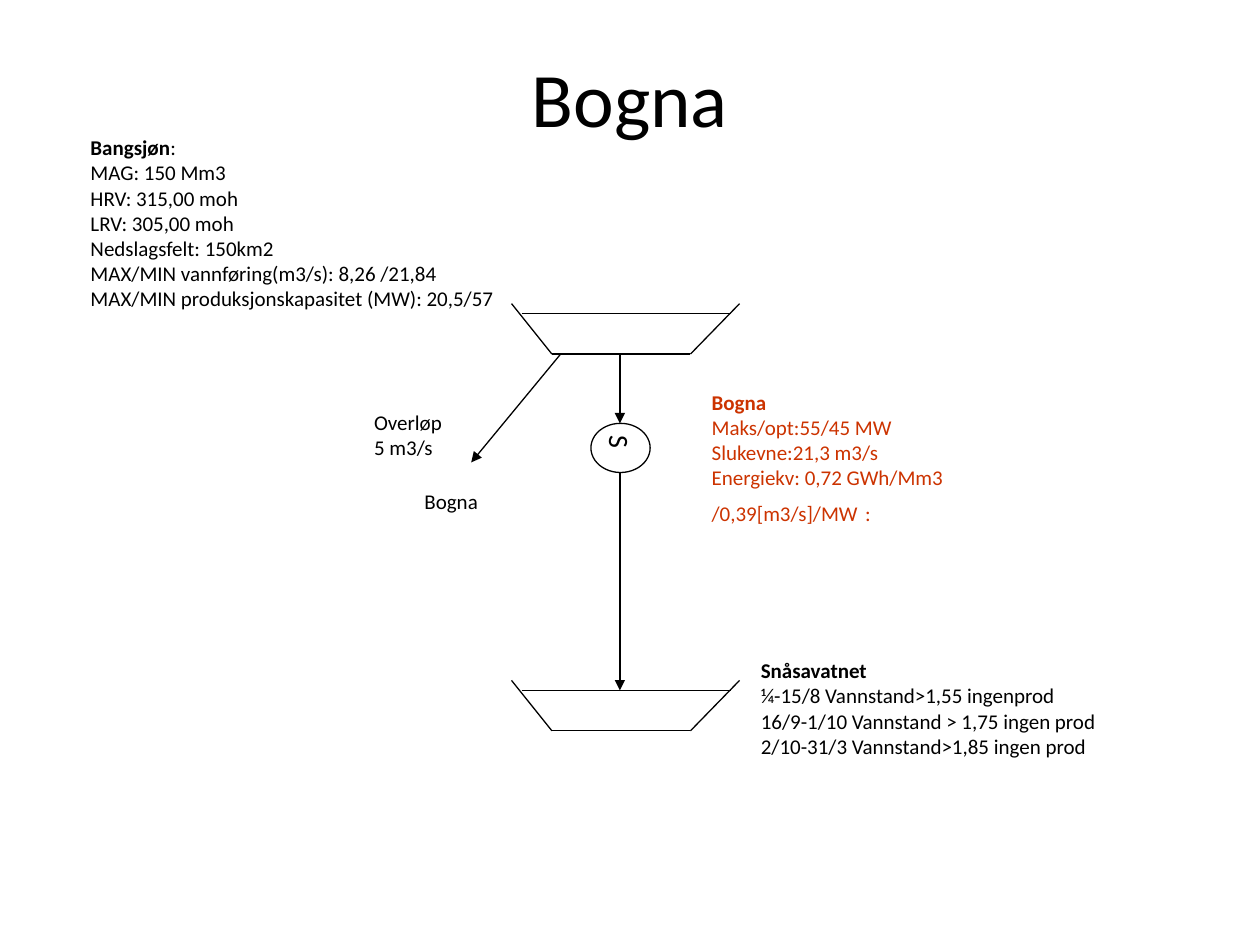
from lxml.etree import SubElement
from pptx import Presentation
from pptx.dml.color import RGBColor
from pptx.enum.shapes import MSO_CONNECTOR as Connector, MSO_SHAPE as Shape
from pptx.enum.text import MSO_ANCHOR as Anchor, PP_ALIGN as Align
from pptx.oxml.ns import qn
from pptx.util import Inches, Pt

COLORS = {"ink": "000000", "station": "CC3300"}
FONT = "Calibri"


def color(name):
    """Return the named colour."""
    return RGBColor.from_string(COLORS[name])


def add_line(page, start, end, arrow=False):
    """Draw a thin line, with an arrowhead at its end if asked."""
    ends = [Inches(value) for value in (*start, *end)]
    line = page.shapes.add_connector(Connector.STRAIGHT, *ends)
    line.line.color.rgb = color("ink")
    line.line.width = Pt(0.75)
    if arrow:
        SubElement(line.line._get_or_add_ln(), qn("a:tailEnd"), type="triangle")
    SubElement(line._element.spPr, qn("a:effectLst"))


def add_text(page, frame, lines, size=12, ink="ink", wrap=False):
    """Write lines, each a list of (text, optional run settings)."""
    box = page.shapes.add_textbox(*[Inches(value) for value in frame])
    box.text_frame.word_wrap = wrap
    for index, runs in enumerate(lines):
        paras = box.text_frame
        para = paras.add_paragraph() if index else paras.paragraphs[0]
        for text, *settings in runs:
            style = {"size": size, "ink": ink, "bold": False}
            style.update(*settings)
            span = para.add_run()
            span.text = text
            span.font.name = FONT
            span.font.size = Pt(style["size"])
            span.font.bold = style["bold"]
            span.font.color.rgb = color(style["ink"])
    return box


def add_title(page, frame, text):
    """Write the centred slide title."""
    box = add_text(page, frame, [[(text,)]], size=44, wrap=True)
    box.text_frame.vertical_anchor = Anchor.MIDDLE
    box.text_frame.paragraphs[0].alignment = Align.CENTER


def add_reservoir(page, left, top):
    """Draw an open basin and its water level."""
    rim = [(0, 0), (0.32, 0.4), (1.42, 0.4), (1.81, 0)]
    level = [(0.08, 0.08), (1.74, 0.08)]
    for outline in (rim, level):
        points = [(left + x, top + y) for x, y in outline]
        for start, end in zip(points, points[1:]):
            add_line(page, start, end)


def add_station(page, left, top, width, height):
    """Draw the power station circle with its sideways letter."""
    circle = page.shapes.add_shape(
        Shape.OVAL, Inches(left), Inches(top), Inches(width), Inches(height))
    circle.shadow.inherit = False
    circle.fill.background()
    circle.line.color.rgb = color("ink")
    circle.line.width = Pt(0.75)
    letter = add_text(page, (left + 0.09, top - 0.05, 0.28, 0.37),
                      [[("S",)]], size=16, wrap=True)
    letter.rotation = 90


def add_watercourse(page, left, top):
    """Draw both reservoirs, the station and the flows between them."""
    middle = left + 0.86
    add_reservoir(page, left, top)
    add_reservoir(page, left, top + 2.99)
    add_station(page, middle - 0.23, top + 0.95, 0.47, 0.39)
    flows = [
        ((middle, top + 0.4), (middle, top + 0.95)),
        ((middle, top + 1.34), (middle, top + 3.07)),
        ((left + 0.39, top + 0.4), (left - 0.32, top + 1.26)),
    ]
    for start, end in flows:
        add_line(page, start, end, arrow=True)


def build_slide(page):
    """Place the title, the diagram and its notes."""
    bold = {"bold": True}
    add_title(page, (0.5, 0.3, 9, 0.93), "Bogna")
    add_watercourse(page, 4.06, 2.41)
    add_text(page, (0.62, 1.02, 3.44, 1.51), [
        [("Bangsjøn", bold), (":",)],
        [("MAG: 150 Mm3",)],
        [("HRV: 315,00 moh",)],
        [("LRV: 305,00 moh",)],
        [("Nedslagsfelt: 150km2",)],
        [("MAX/MIN vannføring(m3/s): 8,26 /21,84",)],
        [("MAX/MIN produksjonskapasitet (MW): 20,5/57 ",)],
    ], wrap=True)
    add_text(page, (5.55, 3.04, 2.2, 1.4), [
        [("Bogna", bold)],
        [("Maks/opt:55/45 MW",)],
        [("Slukevne:21,3 m3/s",)],
        [("Energiekv: 0,72 GWh/Mm3",)],
        [("/0,39[m3/s]/MW",), (" ", {"size": 18, "ink": "ink"}), (":",)],
    ], ink="station")
    add_text(page, (2.87, 3.2, 0.79, 0.5), [[("Overløp",)], [("5 m3/s",)]])
    add_text(page, (3.27, 3.83, 0.68, 0.3), [[("Bogna",)]])
    add_text(page, (5.94, 5.17, 3.1, 0.91), [
        [("Snåsavatnet", bold)],
        [("¼-15/8 Vannstand>1,55 ingenprod",)],
        [("16/9-1/10 Vannstand > 1,75 ingen prod",)],
        [("2/10-31/3 Vannstand>1,85 ingen prod",)],
    ])


deck = Presentation()
deck.slide_width, deck.slide_height = Inches(10), Inches(7.5)
build_slide(deck.slides.add_slide(deck.slide_layouts[6]))
deck.save("out.pptx")
